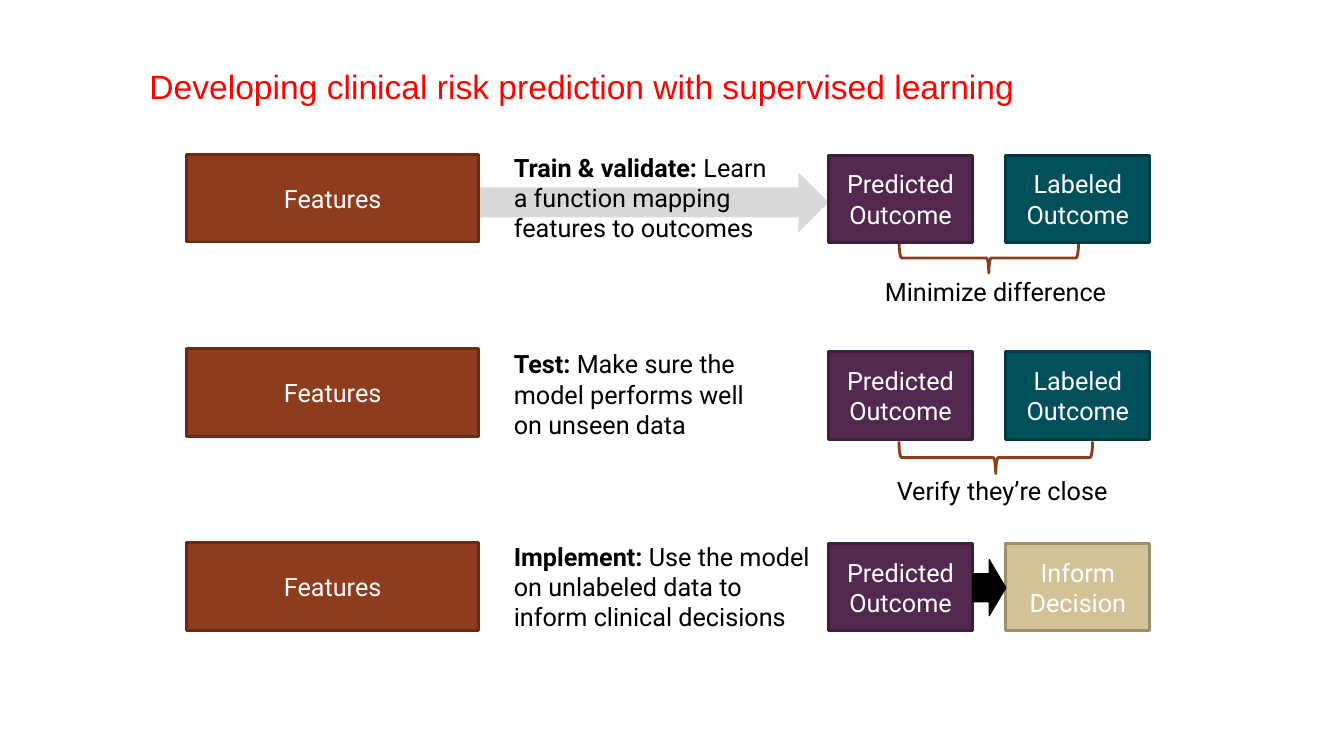
import pptx
import pptx.dml.color
import pptx.enum.shapes
import pptx.enum.text
import pptx.util

Cm, Pt = pptx.util.Cm, pptx.util.Pt
MSO_SHAPE = pptx.enum.shapes.MSO_SHAPE
MSO_ANCHOR = pptx.enum.text.MSO_ANCHOR
PP_ALIGN = pptx.enum.text.PP_ALIGN

COLORS = {
    "title": "FF0000", "text": "000000", "white": "FFFFFF", "arrow": "D9D9D9",
    "rust": "8D3C1E", "rust_edge": "682C16",
    "plum": "53284F", "plum_edge": "3D1E3A",
    "teal": "00505C", "teal_edge": "003B44",
    "sand": "D2C295", "sand_edge": "9B906E",
}


def rgb(name):
    return pptx.dml.color.RGBColor.from_string(COLORS[name])


class Diagram:
    font, size, line_width = "Roboto", 18, 2.08

    def __init__(self, slide):
        self.slide = slide

    def style(self, p, color, font=None, size=None):
        p.font.name = font or self.font
        p.font.size = Pt(size or self.size)
        p.font.color.rgb = rgb(color)

    def title(self, text, box):
        sp = self.slide.shapes.title
        sp.left, sp.top, sp.width, sp.height = map(Cm, box)
        tf = sp.text_frame
        tf.text = text
        tf.vertical_anchor = MSO_ANCHOR.MIDDLE
        p = tf.paragraphs[0]
        p.alignment = PP_ALIGN.LEFT
        p.line_spacing = 0.9
        self.style(p, "title", "Arial", 24)

    def shape(self, kind, box, fill=None, line=None, width=line_width):
        sp = self.slide.shapes.add_shape(kind, *map(Cm, box))
        sp.shadow.inherit = False
        if fill:
            sp.fill.solid()
            sp.fill.fore_color.rgb = rgb(fill)
        else:
            sp.fill.background()
        if line:
            sp.line.color.rgb = rgb(line)
            sp.line.width = Pt(width)
        else:
            sp.line.fill.background()
        return sp

    def block(self, text, box, color):
        sp = self.shape(MSO_SHAPE.RECTANGLE, box, color, color + "_edge")
        tf = sp.text_frame
        tf.word_wrap = True
        tf.text = text
        tf.vertical_anchor = MSO_ANCHOR.MIDDLE
        p = tf.paragraphs[0]
        p.alignment = PP_ALIGN.CENTER
        self.style(p, "white")

    def arrow(self, box, fill, line=None):
        self.shape(MSO_SHAPE.RIGHT_ARROW, box, fill, line, 0.75)

    def brace(self, box):
        """Draw a brace pointing down; box is its frame before the turn."""
        self.shape(MSO_SHAPE.LEFT_BRACE, box, line="rust").rotation = 270

    def text(self, text, box, lead=""):
        """Add a text box, opening with an optional bold lead."""
        tf = self.slide.shapes.add_textbox(*map(Cm, box)).text_frame
        tf.word_wrap = True
        tf.auto_size = pptx.enum.text.MSO_AUTO_SIZE.SHAPE_TO_FIT_TEXT
        p = tf.paragraphs[0]
        if lead:
            r = p.add_run()
            r.text = lead
            r.font.bold = True
        p.add_run().text = text
        self.style(p, "text")


def main():
    prs = pptx.Presentation()
    prs.slide_width, prs.slide_height = Cm(33.87), Cm(19.05)
    d = Diagram(prs.slides.add_slide(prs.slide_layouts[5]))
    d.title("Developing clinical risk prediction with supervised learning",
            (3.51, 1.32, 28.55, 1.8))

    d.arrow((12.07, 4.34, 8.81, 1.52), "arrow")
    d.brace((24.54, 4.24, 0.76, 4.52))
    d.brace((24.69, 9.09, 0.81, 4.88))

    # Tops of features, outcomes and step text, then the step and its result
    rows = [
        (3.89, 3.91, 3.71, 6.99, "Train & validate:",
         " Learn a function mapping features to outcomes", "Labeled Outcome", "teal"),
        (8.79, 8.86, 8.66, 6.99, "Test:",
         " Make sure the model performs well on unseen data", "Labeled Outcome", "teal"),
        (13.67, 13.69, 13.51, 8, "Implement:",
         " Use the model on unlabeled data to inform clinical decisions",
         "Inform Decision", "sand"),
    ]
    block_h, outcome_w = 2.21, 3.63
    for features_top, outcome_top, step_top, step_w, lead, step, result, color in rows:
        d.block("Features", (4.7, features_top, 7.37, block_h), "rust")
        d.text(step, (12.7, step_top, step_w, 2.57), lead)
        d.block("Predicted Outcome", (20.88, outcome_top, outcome_w, block_h), "plum")
        d.block(result, (25.35, outcome_top, outcome_w, block_h), color)

    d.text("Minimize difference", (22.05, 6.83, 6.63, 1.02))
    d.text("Verify they’re close", (22.35, 11.86, 6.63, 1.02))
    d.arrow((24.51, 14.1, 0.84, 1.42), "text", "text")
    prs.save("out.pptx")


if __name__ == "__main__":
    main()
